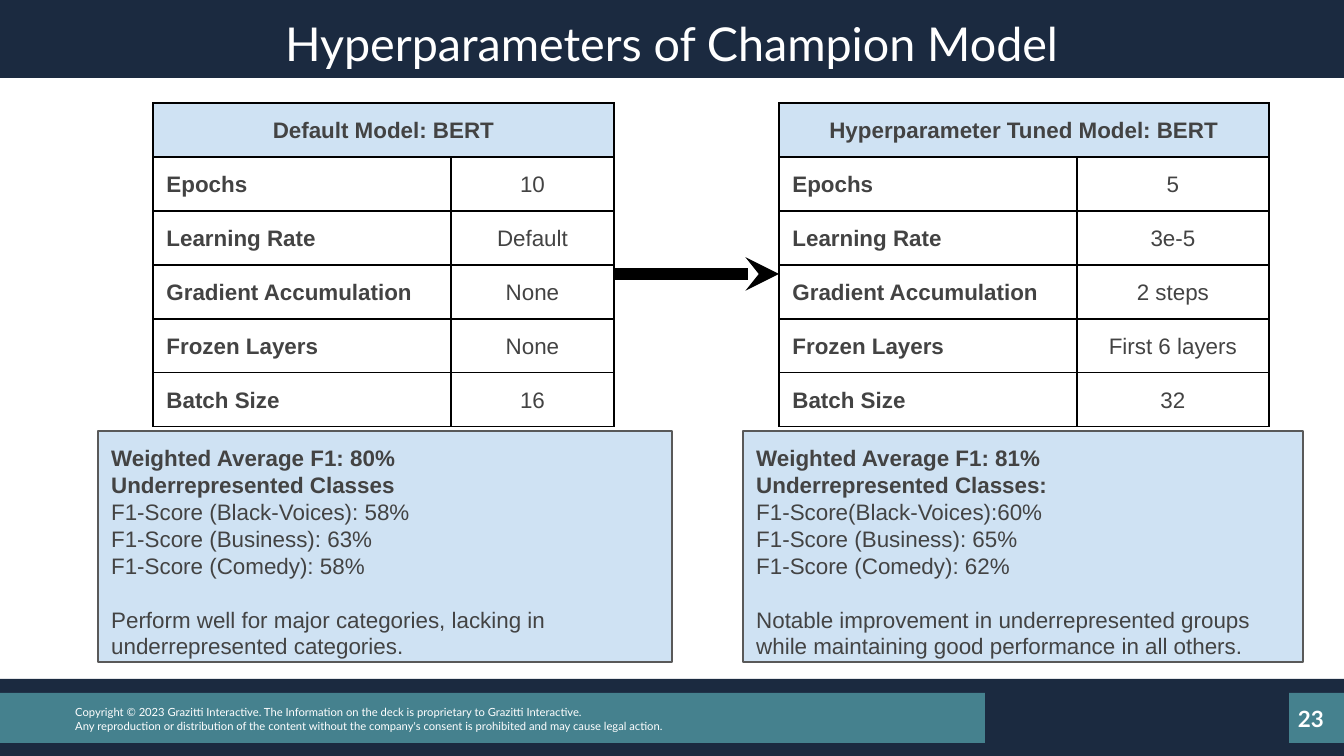
import pptx
import pptx.dml.color
import pptx.enum.shapes
import pptx.enum.text
import pptx.oxml
import pptx.oxml.ns
import pptx.util

RGBColor = pptx.dml.color.RGBColor
Align = pptx.enum.text.PP_ALIGN
Anchor = pptx.enum.text.MSO_ANCHOR
Pt = pptx.util.Pt

NAVY = RGBColor(0x1B, 0x2A, 0x40)
TEAL = RGBColor(0x45, 0x81, 0x8E)
PALE_BLUE = RGBColor(0xCF, 0xE2, 0xF3)
WHITE = RGBColor(0xFF, 0xFF, 0xFF)
BLACK = RGBColor(0x00, 0x00, 0x00)
TEXT_GREY = RGBColor(0x43, 0x43, 0x43)
LINE_GREY = RGBColor(0x59, 0x59, 0x59)

EMU_PER_PX = 914400 / 134.4
SLIDE_WIDTH, SLIDE_HEIGHT = 1344, 756
ROW_HEIGHT = 54
BODY_LINE = Pt(14.4)
INSET = pptx.util.Inches(0.1)
MARGINS = dict.fromkeys(("margin_left", "margin_top", "margin_right", "margin_bottom"), INSET)

TITLE_FONT = {"name": "Lato", "size": Pt(25), "bold": False}
FOOTER_FONT = {"name": "Lato", "size": Pt(6), "bold": False}
NUMBER_FONT = {"name": "Lato", "size": Pt(12), "bold": True}
BODY_FONT = {"name": "Arial", "size": Pt(12), "bold": False}
BOLD_FONT = {**BODY_FONT, "bold": True}

PARAMETERS = ("Epochs", "Learning Rate", "Gradient Accumulation", "Frozen Layers", "Batch Size")


def px(length):
    return pptx.util.Emu(round(length * EMU_PER_PX))


def scaled(box):
    return [px(length) for length in box]


def set_attributes(target, values):
    for name, value in values.items():
        setattr(target, name, value)


def write_paragraph(paragraph, text, font, color, **layout):
    paragraph.text = text
    set_attributes(paragraph, layout)
    set_attributes(paragraph.font, font)
    paragraph.font.color.rgb = color


def write_lines(frame, lines, color, **layout):
    """Fill a text frame with (text, font) lines."""
    for index, (text, font) in enumerate(lines):
        paragraph = frame.add_paragraph() if index else frame.paragraphs[0]
        write_paragraph(paragraph, text, font, color, **layout)


def add_rectangle(slide, box, fill, line=None):
    shape = slide.shapes.add_shape(pptx.enum.shapes.MSO_SHAPE.RECTANGLE, *scaled(box))
    shape.shadow.inherit = False
    shape.fill.solid()
    shape.fill.fore_color.rgb = fill
    if line is None:
        shape.line.fill.background()
    else:
        shape.line.color.rgb = line
        shape.line.width = Pt(0.75)
    return shape


def add_text(slide, box, lines, anchor=Anchor.TOP, **layout):
    frame = slide.shapes.add_textbox(*scaled(box)).text_frame
    set_attributes(frame, {**MARGINS, "word_wrap": True, "vertical_anchor": anchor})
    write_lines(frame, lines, WHITE, **layout)


def add_title(slide, box, text):
    left, top, width, height = box
    add_rectangle(slide, box, NAVY)
    add_text(slide, (left + 70, top + 6, width - 140, height - 12), [(text, TITLE_FONT)],
             Anchor.MIDDLE, alignment=Align.CENTER, line_spacing=1.15)


def add_footer(slide, box, notice, number):
    left, top, width, height = box
    add_rectangle(slide, box, NAVY)
    add_rectangle(slide, (left, top + 14, 985, 50), TEAL)
    add_rectangle(slide, (left + width - 55, top + 14, 55, 50), TEAL)
    add_text(slide, (left + 62, top + 13, 934, 54), [(line, FOOTER_FONT) for line in notice])
    add_text(slide, (left + 1257, top + 11, 80, 58), [(number, NUMBER_FONT)],
             Anchor.MIDDLE, alignment=Align.RIGHT)


def add_cell_borders(cell):
    properties = cell._tc.get_or_add_tcPr()
    for index, side in enumerate(("lnL", "lnR", "lnT", "lnB")):
        properties.insert(index, pptx.oxml.parse_xml(
            f'<a:{side} {pptx.oxml.ns.nsdecls("a")} w="9525"><a:solidFill>'
            f'<a:srgbClr val="{BLACK}"/></a:solidFill></a:{side}>'))


def fill_cell(cell, text, fill, font, alignment, anchor):
    set_attributes(cell, {**MARGINS, "vertical_anchor": anchor})
    cell.fill.solid()
    cell.fill.fore_color.rgb = fill
    add_cell_borders(cell)
    write_paragraph(cell.text_frame.paragraphs[0], text, font, TEXT_GREY,
                    alignment=alignment, line_spacing=BODY_LINE)


def add_parameter_table(slide, left, top, widths, heading, values):
    rows = len(PARAMETERS) + 1
    box = (left, top, sum(widths), rows * ROW_HEIGHT)
    table = slide.shapes.add_table(rows, 2, *scaled(box)).table
    for column, width in zip(table.columns, widths):
        column.width = px(width)
    for column, text in enumerate((heading, "")):
        fill_cell(table.cell(0, column), text, PALE_BLUE, BOLD_FONT, Align.CENTER, Anchor.MIDDLE)
    table.cell(0, 0).merge(table.cell(0, 1))
    for row, (name, value) in enumerate(zip(PARAMETERS, values), start=1):
        fill_cell(table.cell(row, 0), name, WHITE, BOLD_FONT, Align.LEFT, Anchor.MIDDLE)
        fill_cell(table.cell(row, 1), value, WHITE, BODY_FONT, Align.CENTER, Anchor.TOP)


def add_score_panel(slide, box, headings, scores, conclusion):
    frame = add_rectangle(slide, box, PALE_BLUE, LINE_GREY).text_frame
    set_attributes(frame, {**MARGINS, "word_wrap": True, "vertical_anchor": Anchor.TOP})
    lines = [(text, BOLD_FONT) for text in headings]
    lines += [(text, BODY_FONT) for text in (*scores, conclusion)]
    write_lines(frame, lines, TEXT_GREY, alignment=Align.LEFT, line_spacing=BODY_LINE)
    frame.paragraphs[-1].space_before = BODY_LINE


def add_arrow(slide, start, end, y):
    arrow = slide.shapes.add_connector(
        pptx.enum.shapes.MSO_CONNECTOR.STRAIGHT, *scaled((start, y, end, y)))
    arrow.line.color.rgb = BLACK
    arrow.line.width = Pt(6)
    namespace = pptx.oxml.ns.nsdecls("a")
    arrow.line._get_or_add_ln().append(
        pptx.oxml.parse_xml(f'<a:tailEnd {namespace} type="stealth"/>'))
    arrow._element.spPr.append(pptx.oxml.parse_xml(f"<a:effectLst {namespace}/>"))


def main():
    presentation = pptx.Presentation()
    presentation.slide_width, presentation.slide_height = scaled((SLIDE_WIDTH, SLIDE_HEIGHT))
    slide = presentation.slides.add_slide(presentation.slide_layouts[6])

    add_title(slide, (-4, 0, 1351, 78), "Hyperparameters of Champion Model")
    add_footer(slide, (0, 679, SLIDE_WIDTH, 77), (
        "Copyright © 2023 Grazitti Interactive. The Information on the deck is "
        "proprietary to Grazitti Interactive.",
        "Any reproduction or distribution of the content without the company's consent "
        "is prohibited and may cause legal action."), "23")

    add_parameter_table(slide, 153, 103, (298, 163), "Default Model: BERT",
                        ("10", "Default", "None", "None", "16"))
    add_parameter_table(slide, 779, 103, (298, 192), "Hyperparameter Tuned Model: BERT",
                        ("5", "3e-5", "2 steps", "First 6 layers", "32"))
    add_score_panel(
        slide, (98, 431, 574, 231),
        ("Weighted Average F1: 80%", "Underrepresented Classes"),
        ("F1-Score (Black-Voices): 58%", "F1-Score (Business): 63%", "F1-Score (Comedy): 58%"),
        "Perform well for major categories, lacking in underrepresented categories.")
    add_score_panel(
        slide, (743, 431, 560, 231),
        ("Weighted Average F1: 81%", "Underrepresented Classes:"),
        ("F1-Score(Black-Voices):60%", "F1-Score (Business): 65%", "F1-Score (Comedy): 62%"),
        "Notable improvement in underrepresented groups while maintaining good "
        "performance in all others.")
    add_arrow(slide, 613, 779, 274)

    presentation.save("out.pptx")


if __name__ == "__main__":
    main()
